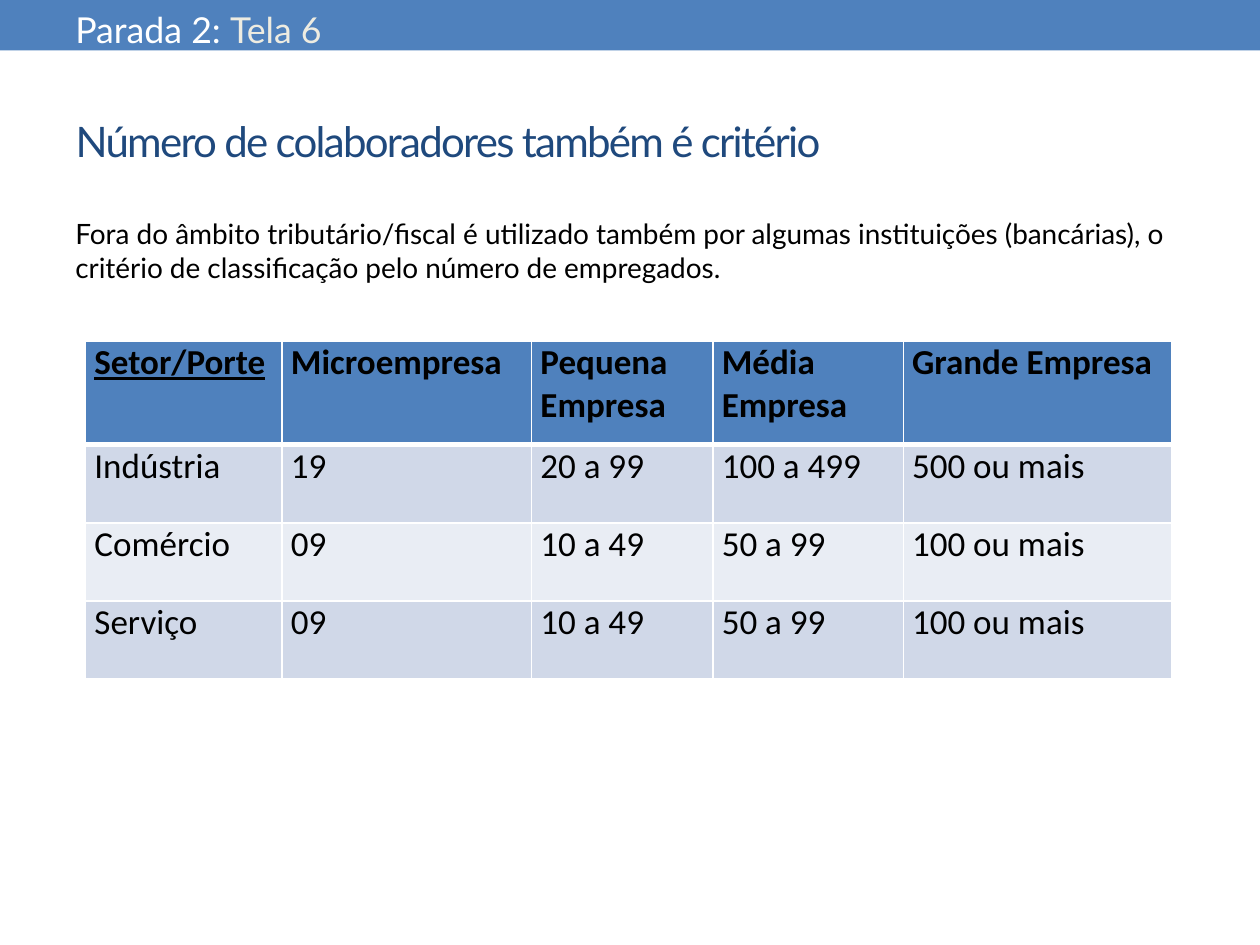
"""Build a slide that classifies companies by number of employees."""
from dataclasses import dataclass

import lxml.etree
import pptx
import pptx.dml.color
import pptx.enum.shapes
import pptx.enum.text
import pptx.oxml.ns
import pptx.util

Inches = pptx.util.Inches
RGBColor = pptx.dml.color.RGBColor
Anchor = pptx.enum.text.MSO_ANCHOR

BLUE = RGBColor(0x4F, 0x81, 0xBD)
NAVY = RGBColor(0x1F, 0x49, 0x7D)
CREAM = RGBColor(0xEE, 0xEC, 0xE1)
WHITE = RGBColor(0xFF, 0xFF, 0xFF)
BLACK = RGBColor(0x00, 0x00, 0x00)
BAND_DARK = RGBColor(0xD0, 0xD8, 0xE8)
BAND_LIGHT = RGBColor(0xE9, 0xED, 0xF4)

COLUMN_WIDTHS = (1.56, 1.98, 1.44, 1.51, 2.13)
ROW_HEIGHTS = (0.82, 0.62, 0.62, 0.62)
ROWS = (
    ("Setor/Porte", "Microempresa", "Pequena Empresa", "Média Empresa", "Grande Empresa"),
    ("Indústria", "19", "20 a 99", "100 a 499", "500 ou mais"),
    ("Comércio", "09", "10 a 49", "50 a 99", "100 ou mais"),
    ("Serviço", "09", "10 a 49", "50 a 99", "100 ou mais"),
)


@dataclass(frozen=True)
class Piece:
    text: str
    size: float
    color: RGBColor
    font: str = "Lato"
    bold: bool = False
    underline: bool = False


@dataclass(frozen=True)
class TextBlock:
    left: float
    top: float
    width: float
    height: float
    pieces: tuple[Piece, ...]


HEADER = TextBlock(0.5, 0.01, 9, 0.38, (
    Piece("Parada 2: ", 20.4, WHITE), Piece("Tela 6", 20.4, CREAM)))
TITLE = TextBlock(0.5, 0.58, 6.75, 1.08, (
    Piece("Número de colaboradores também é critério", 24, NAVY),))
BODY = TextBlock(0.5, 1.67, 9, 5.18, (
    Piece("Fora do âmbito tributário/fiscal é utilizado também por algumas "
          "instituições (bancárias), o critério de classificação pelo número "
          "de empregados.", 16, BLACK),))


def set_values(target: object, values: dict) -> None:
    for name, value in values.items():
        setattr(target, name, value)


def write(text_frame: pptx.text.text.TextFrame, pieces: tuple[Piece, ...]) -> None:
    paragraph = text_frame.paragraphs[0]
    paragraph.alignment = pptx.enum.text.PP_ALIGN.LEFT
    for piece in pieces:
        run = paragraph.add_run()
        run.text = piece.text
        set_values(run.font, {
            "name": piece.font, "size": pptx.util.Pt(piece.size),
            "bold": piece.bold, "underline": piece.underline})
        run.font.color.rgb = piece.color


def place(shape: pptx.shapes.base.BaseShape, block: TextBlock, anchor: Anchor) -> None:
    set_values(shape, {name: Inches(getattr(block, name))
                       for name in ("left", "top", "width", "height")})
    set_values(shape.text_frame, {
        "word_wrap": True, "auto_size": pptx.enum.text.MSO_AUTO_SIZE.NONE,
        "vertical_anchor": anchor})
    write(shape.text_frame, block.pieces)


def add_text(slide: pptx.slide.Slide, block: TextBlock) -> None:
    place(slide.shapes.add_textbox(0, 0, 0, 0), block, Anchor.TOP)


def add_bar(slide: pptx.slide.Slide) -> None:
    bar = slide.shapes.add_shape(
        pptx.enum.shapes.MSO_SHAPE.RECTANGLE, 0, 0, Inches(10), Inches(0.4))
    bar.shadow.inherit = False
    bar.fill.solid()
    bar.fill.fore_color.rgb = BLUE
    bar.line.fill.background()


def set_borders(cell: pptx.table._Cell, widths: dict[str, float]) -> None:
    qn = pptx.oxml.ns.qn
    properties = cell._tc.get_or_add_tcPr()
    for side, width in widths.items():
        line = lxml.etree.SubElement(
            properties, qn(f"a:ln{side}"), w=str(pptx.util.Pt(width)))
        fill = lxml.etree.SubElement(line, qn("a:solidFill"))
        lxml.etree.SubElement(fill, qn("a:srgbClr"), val=str(WHITE))


def add_size_table(slide: pptx.slide.Slide) -> None:
    table = slide.shapes.add_table(
        len(ROWS), len(COLUMN_WIDTHS), Inches(0.68), Inches(2.71),
        Inches(sum(COLUMN_WIDTHS)), Inches(sum(ROW_HEIGHTS))).table
    for column, width in zip(table.columns, COLUMN_WIDTHS):
        column.width = Inches(width)
    for row_index, (row, height, texts) in enumerate(zip(table.rows, ROW_HEIGHTS, ROWS)):
        row.height = Inches(height)
        is_header = row_index == 0
        band = BAND_DARK if row_index % 2 else BAND_LIGHT
        for column_index, (cell, text) in enumerate(zip(row.cells, texts)):
            set_values(cell, {
                "margin_left": Inches(0.07), "margin_right": Inches(0.07),
                "margin_top": 0, "margin_bottom": 0})
            set_borders(cell, {"L": 1, "R": 1, "T": 3 if row_index == 1 else 1,
                               "B": 3 if is_header else 1})
            cell.fill.solid()
            cell.fill.fore_color.rgb = BLUE if is_header else band
            write(cell.text_frame, (Piece(
                text, 20, BLACK, "Calibri", is_header,
                is_header and column_index == 0),))


def main() -> None:
    presentation = pptx.Presentation()
    set_values(presentation, {"slide_width": Inches(10), "slide_height": Inches(7.5)})
    slide = presentation.slides.add_slide(presentation.slide_layouts.get_by_name("Title Only"))
    add_bar(slide)
    title = slide.shapes.title
    place(title, TITLE, Anchor.MIDDLE)
    for run in title.text_frame.paragraphs[0].runs:
        run.font._element.set("spc", "-100")
    add_text(slide, BODY)
    add_text(slide, HEADER)
    add_size_table(slide)
    presentation.save("out.pptx")


main()
